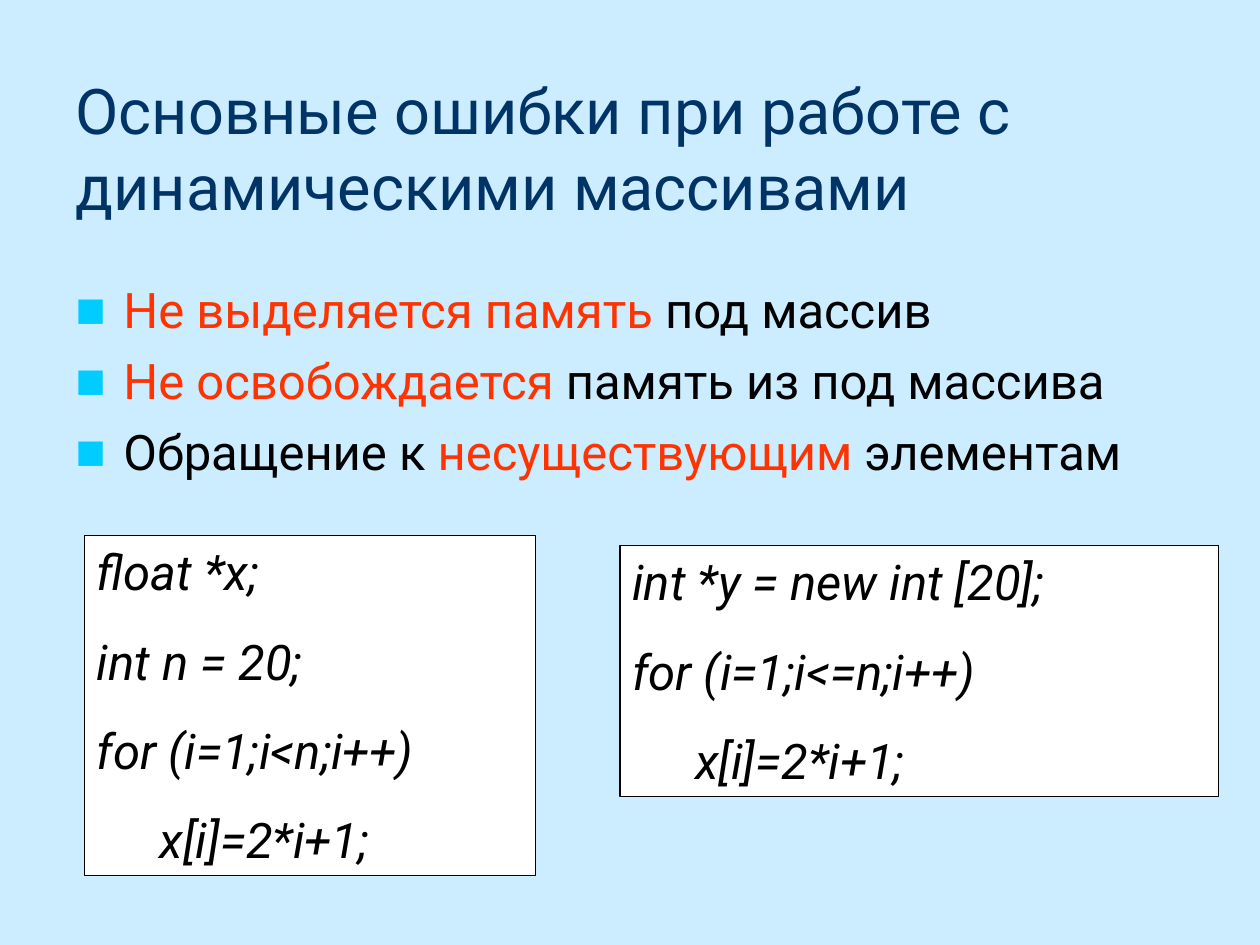
from lxml.etree import SubElement
from pptx import Presentation
from pptx.dml.color import RGBColor
from pptx.enum.shapes import MSO_SHAPE as Shape
from pptx.enum.text import MSO_ANCHOR as Anchor, MSO_AUTO_SIZE as AutoSize, PP_ALIGN as Align
from pptx.oxml.ns import qn
from pptx.util import Inches, Pt

FONT = "Roboto"
BACKGROUND, NAVY, RED, BLACK, WHITE, CYAN = (
    "CCECFF", "003366", "FF3300", "000000", "FFFFFF", "00CCFF")

TITLE = "Основные ошибки при работе с динамическими массивами"
MISTAKES = [
    [("Не выделяется память ", RED), ("под массив", BLACK)],
    [("Не освобождается ", RED), ("память из под массива", BLACK)],
    [("Обращение к ", BLACK), ("несуществующим ", RED), ("элементам", BLACK)],
]
CODE_BOXES = [
    ((0.67, 4.25, 3.58, 2.7),
     ["float *x;", "int n = 20;", "for (i=1;i<n;i++)", "\tx[i]=2*i+1;"]),
    ((4.92, 4.33, 4.75, 1.99),
     ["int *y = new int [20];", "for (i=1;i<=n;i++)", "\tx[i]=2*i+1;"]),
]


def rgb(color):
    return RGBColor.from_string(color)


def place(shape, left, top, width, height):
    shape.left, shape.top = Inches(left), Inches(top)
    shape.width, shape.height = Inches(width), Inches(height)


def set_frame(frame, anchor):
    settings = {"word_wrap": True, "auto_size": AutoSize.NONE, "vertical_anchor": anchor}
    for name, value in settings.items():
        setattr(frame, name, value)


def write_paragraphs(frame, paragraphs, size, space_before=0, italic=False):
    """Fill the frame; each paragraph is a list of (text, color) runs."""
    for index, runs in enumerate(paragraphs):
        paragraph = frame.add_paragraph() if index else frame.paragraphs[0]
        paragraph.alignment = Align.LEFT
        paragraph.space_before = Pt(space_before)
        for text, color in runs:
            run = paragraph.add_run()
            run.text = text
            font_format = {"name": FONT, "size": Pt(size), "italic": italic}
            for name, value in font_format.items():
                setattr(run.font, name, value)
            run.font.color.rgb = rgb(color)


def add_bullet(paragraph):
    properties = paragraph._p.get_or_add_pPr()
    properties.set("marL", str(Inches(0.38)))
    properties.set("indent", str(Inches(-0.38)))
    color = SubElement(properties, qn("a:buClr"))
    SubElement(color, qn("a:srgbClr"), val=CYAN)
    SubElement(properties, qn("a:buSzPct"), val="65000")
    SubElement(properties, qn("a:buFont"), typeface=FONT)
    SubElement(properties, qn("a:buChar"), char="■")


def add_code_box(slide, position, lines):
    box = slide.shapes.add_shape(Shape.RECTANGLE, *map(Inches, position))
    box.shadow.inherit = False
    box.fill.solid()
    box.fill.fore_color.rgb = rgb(WHITE)
    box.line.color.rgb = rgb(BLACK)
    box.line.width = Pt(0.75)
    set_frame(box.text_frame, Anchor.TOP)
    write_paragraphs(box.text_frame, [[(line, BLACK)] for line in lines],
                     28, space_before=17.5, italic=True)


def main():
    deck = Presentation()
    deck.slide_width, deck.slide_height = Inches(10), Inches(7.5)
    slide = deck.slides.add_slide(deck.slide_layouts[1])
    slide.background.fill.solid()
    slide.background.fill.fore_color.rgb = rgb(BACKGROUND)

    title, mistakes = slide.placeholders
    place(title, 0.5, 0.42, 9, 1.5)
    set_frame(title.text_frame, Anchor.MIDDLE)
    write_paragraphs(title.text_frame, [[(TITLE, NAVY)]], 36)

    place(mistakes, 0.5, 2.17, 9, 1.83)
    set_frame(mistakes.text_frame, Anchor.TOP)
    write_paragraphs(mistakes.text_frame, MISTAKES, 28, space_before=7)
    for paragraph in mistakes.text_frame.paragraphs:
        add_bullet(paragraph)

    for position, lines in CODE_BOXES:
        add_code_box(slide, position, lines)
    deck.save("out.pptx")


if __name__ == "__main__":
    main()
